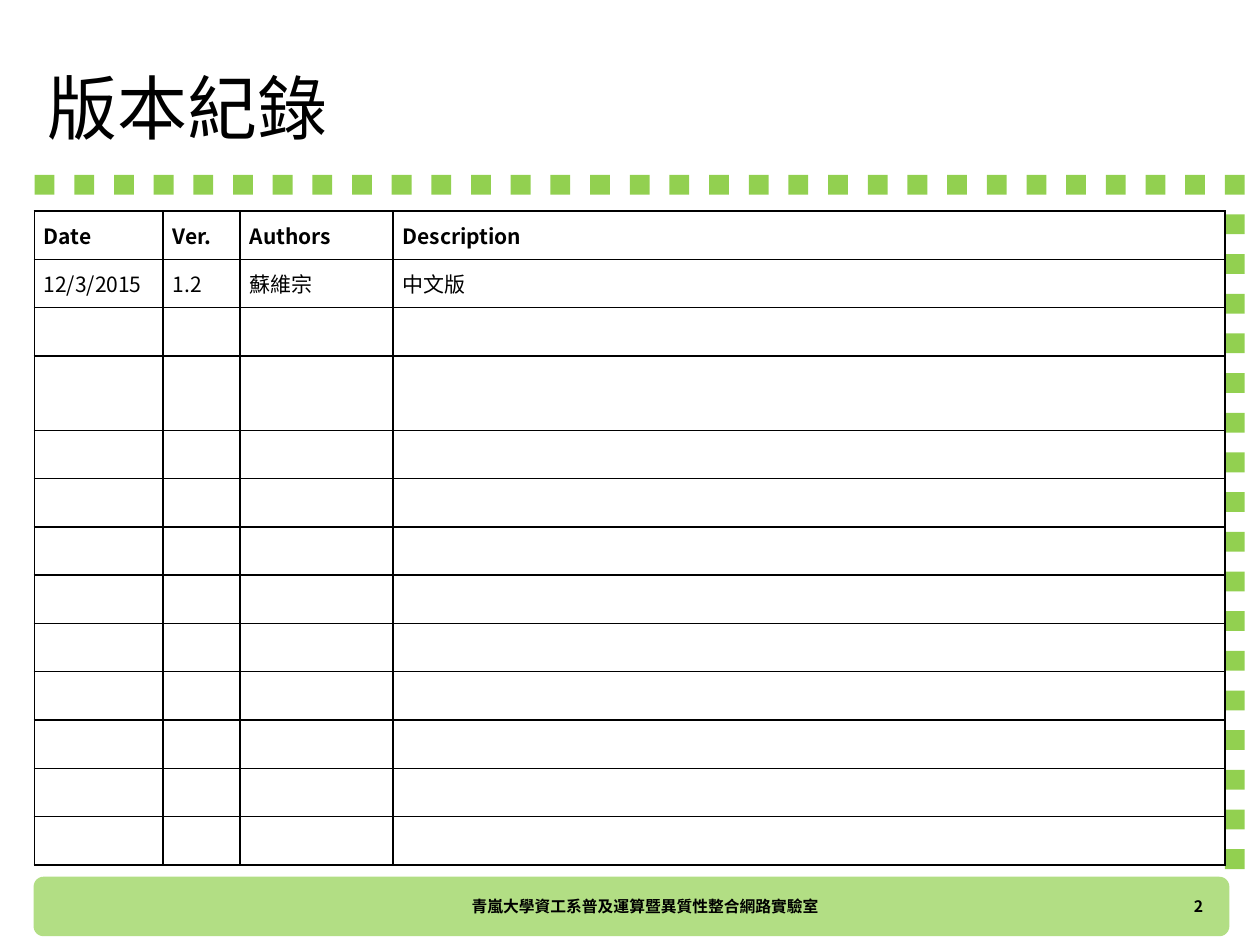
"""Build the version history slide with its dotted frame, table and footer."""
from lxml import etree
from pptx import Presentation
from pptx import util as u
from pptx.dml.color import RGBColor
from pptx.enum import shapes, text
from pptx.oxml import ns

Pt = u.Pt
FONT = "Noto Sans CJK SC"
GREEN = "92D050"
BLACK = "000000"


def paint(fill, color):
    fill.solid()
    fill.fore_color.rgb = RGBColor.from_string(color)


def write(frame, words, size, bold=False, align=text.PP_ALIGN.LEFT):
    frame.word_wrap = True
    paragraph = frame.paragraphs[0]
    paragraph.alignment = align
    run = paragraph.add_run()
    run.text = words
    for name, value in {"name": FONT, "size": Pt(size), "bold": bold}.items():
        setattr(run.font, name, value)
    paint(run.font.fill, BLACK)
    etree.SubElement(run.font._element, ns.qn("a:ea"), typeface=FONT)


presentation = Presentation()
presentation.slide_width = Pt(720)
presentation.slide_height = Pt(540)
slide = presentation.slides.add_slide(presentation.slide_layouts[6])

footer_bar = slide.shapes.add_shape(
    shapes.MSO_SHAPE.ROUNDED_RECTANGLE, Pt(19.2), Pt(501), Pt(683.3), Pt(34))
footer_bar.shadow.inherit = False
footer_bar.line.fill.background()
paint(footer_bar.fill, GREEN)
bar_color = footer_bar.fill._xPr.find(".//" + ns.qn("a:srgbClr"))
etree.SubElement(bar_color, ns.qn("a:alpha"), val="70000")

side, pitch, dots_left, dots_top = 11.34, 22.67, 19.85, 99.9
across, down = 31, 17
dots = [(column, 0) for column in range(across)]
dots += [(across - 1, row) for row in range(1, down + 1)]
for column, row in dots:
    dot = slide.shapes.add_shape(
        shapes.MSO_SHAPE.RECTANGLE, Pt(dots_left + column * pitch),
        Pt(dots_top + row * pitch), Pt(side), Pt(side))
    dot.shadow.inherit = False
    dot.line.fill.background()
    paint(dot.fill, GREEN)

labels = [
    ("版本紀錄", (20, 21.6, 567, 78.5), 40, False, text.PP_ALIGN.LEFT),
    ("青嵐大學資工系普及運算暨異質性整合網路實驗室",
     (116, 503.5, 505, 28.5), 9, True, text.PP_ALIGN.CENTER),
    ("2", (632, 503.5, 62.5, 28.5), 9, True, text.PP_ALIGN.RIGHT),
]
for words, box, size, bold, align in labels:
    label = slide.shapes.add_textbox(*map(Pt, box))
    label.text_frame.vertical_anchor = text.MSO_ANCHOR.MIDDLE
    write(label.text_frame, words, size, bold, align)

records = [
    ("Date", "Ver.", "Authors", "Description"),
    ("12/3/2015", "1.2", "蘇維宗", "中文版"),
]
widths = [73.7, 44, 87.4, 475.4]
heights = [27.6] * 3 + [42.6] + [27.6] * 9
history = slide.shapes.add_table(
    len(heights), len(widths), Pt(19.6), Pt(120.6),
    Pt(sum(widths)), Pt(sum(heights))).table
for column, width in zip(history.columns, widths):
    column.width = Pt(width)
for row, height in zip(history.rows, heights):
    row.height = Pt(height)

cell_format = {
    "margin_left": Pt(5.4), "margin_right": Pt(5.4),
    "margin_top": Pt(2.9), "margin_bottom": Pt(2.9),
    "vertical_anchor": text.MSO_ANCHOR.MIDDLE,
}
for row_index in range(len(heights)):
    for column_index in range(len(widths)):
        cell = history.cell(row_index, column_index)
        for name, value in cell_format.items():
            setattr(cell, name, value)
        properties = cell._tc.get_or_add_tcPr()
        for edge in ("a:lnL", "a:lnR", "a:lnT", "a:lnB"):
            border = etree.SubElement(properties, ns.qn(edge), w=str(Pt(1)))
            solid = etree.SubElement(border, ns.qn("a:solidFill"))
            etree.SubElement(solid, ns.qn("a:srgbClr"), val=BLACK)
        cell.fill.background()
        if row_index < len(records):
            write(cell.text_frame, records[row_index][column_index], 12,
                  row_index == 0)
        else:
            paragraph = cell.text_frame.paragraphs[0]
            etree.SubElement(paragraph._p, ns.qn("a:endParaRPr"), sz="1200")

presentation.save("out.pptx")
